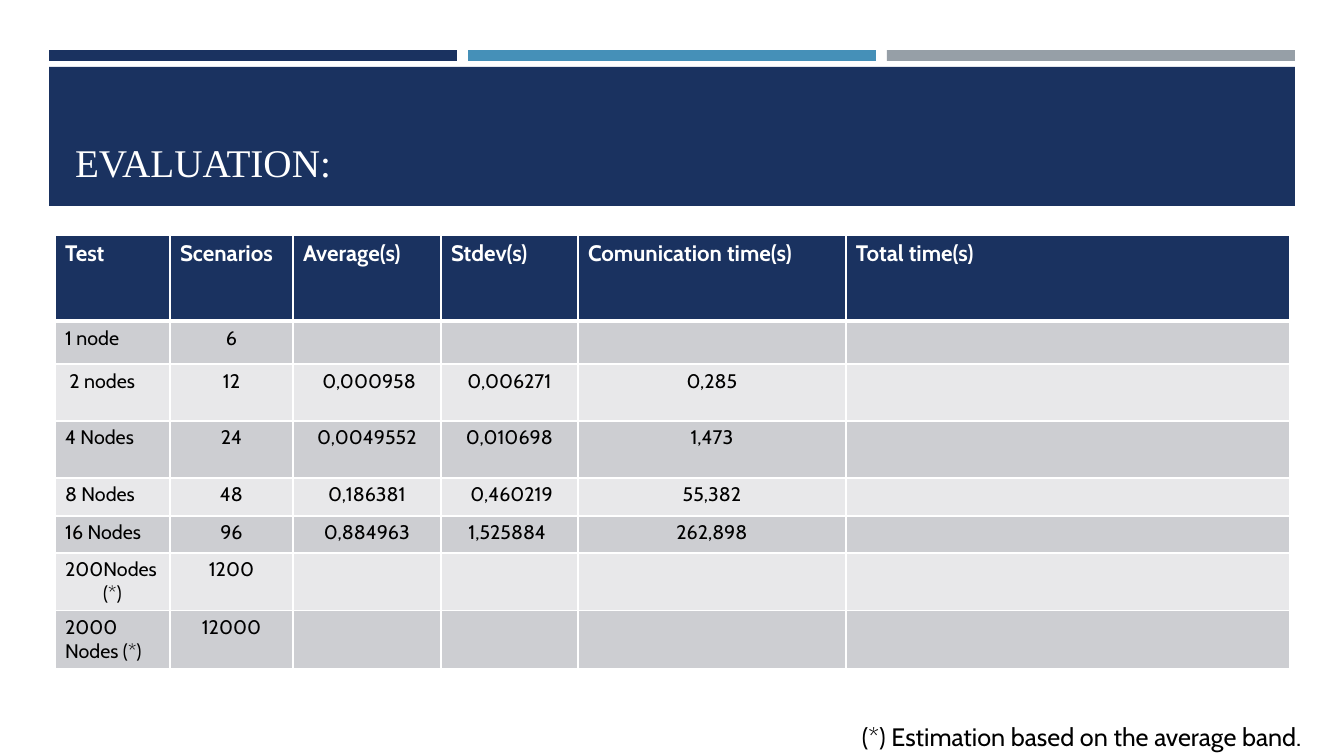
from pptx import Presentation
from pptx.dml.color import RGBColor as Rgb
from pptx.enum.shapes import MSO_SHAPE as Kind
from pptx.enum.text import MSO_ANCHOR as Anchor, PP_ALIGN as Align
from pptx.oxml.ns import qn
from pptx.util import Emu, Pt
from lxml.etree import SubElement as Sub

SCALE = 12192000 / 1344  # EMU in one px
HUES = {"navy": "1A3260", "blue": "4590B8", "gray": "969FA7",
        "dark": "CDCED2", "light": "E8E8EA", "white": "FFFFFF", "black": "000000"}
COLS = [115, 123, 148, 137, 268, 444]
ROWS = [86, 43, 57, 57, 38, 37, 57, 56]
DATA = [
    ["Test", "Scenarios", "Average(s)", "Stdev(s)", "Comunication time(s)", "Total time(s)"],
    ["1 node", "6", "", "", "", ""],
    [" 2 nodes", "12", " 0,000958", "0,006271", "0,285", ""],
    ["4 Nodes", "24", "0,0049552", "0,010698", "1,473", ""],
    ["8 Nodes", "48", "0,186381", " 0,460219", "55,382", ""],
    ["16 Nodes", "96", "0,884963", "1,525884 ", "262,898", ""],
    ["Nodes (*)", "1200", "", "", "", ""],
    ["2000 Nodes (*)", "12000", "", "", "", ""],
]
LIST_ROW = 6  # its label is numbered from 200


def px(num):
    return Emu(round(num * SCALE))


def box(*nums):
    return [px(num) for num in nums]


def hue(name):
    return Rgb.from_string(HUES[name])


def style(para, face, size, tint, bold=False):
    for run in para.runs:
        font = run.font
        font.name, font.size, font.bold = face, Pt(size), bold
        font.color.rgb = hue(tint)


def add_bar(slide, x, y, w, h, tint):
    bar = slide.shapes.add_shape(Kind.RECTANGLE, *box(x, y, w, h))
    bar.shadow.inherit = False
    bar.fill.solid()
    bar.fill.fore_color.rgb = hue(tint)
    bar.line.fill.background()
    return bar


def add_title(slide, band, text):
    title = slide.shapes.title
    title.left, title.top, title.width, title.height = box(65, 81, 1215, 109)
    frame = title.text_frame
    frame.text = text
    frame.vertical_anchor = Anchor.BOTTOM
    frame.paragraphs[0].alignment = Align.LEFT
    style(frame.paragraphs[0], "Times New Roman", 28, "white")
    band.element.addnext(title.element)  # text goes above the band


def set_edge(cell, side, width, at):
    props = cell._tc.get_or_add_tcPr()
    line = Sub(props, qn("a:" + side), w=str(Pt(width)))
    Sub(Sub(line, qn("a:solidFill")), qn("a:srgbClr"), val=HUES["white"])
    props.insert(at, line)


def set_number(para, start):
    props = para._p.get_or_add_pPr()
    props.set("marL", str(px(38)))
    props.set("indent", str(px(-38)))
    Sub(props, qn("a:buFont"), typeface="+mj-lt")
    Sub(props, qn("a:buAutoNum"), type="arabicPlain", startAt=str(start))


def fill_cell(cell, text, row, col):
    head = row == 0
    cell.fill.solid()
    cell.fill.fore_color.rgb = hue("navy" if head else "dark" if row % 2 else "light")
    for at, side in enumerate(["lnL", "lnR", "lnT", "lnB"]):
        thick = (head and side == "lnB") or (row == 1 and side == "lnT")
        set_edge(cell, side, 3 if thick else 1, at)
    para = cell.text_frame.paragraphs[0]
    if not text:  # keeps an empty row from growing
        Sub(para._p, qn("a:endParaRPr"), sz="1400")
        return
    para.text = text
    if col and not head:
        para.alignment = Align.CENTER
    if row == LIST_ROW and col == 0:
        set_number(para, 200)
    style(para, "Cabin", 16 if head else 14, "white" if head else "black", head)


def add_grid(slide, x, y):
    size = box(x, y, sum(COLS), sum(ROWS))
    grid = slide.shapes.add_table(len(ROWS), len(COLS), *size).table
    for col, w in zip(grid.columns, COLS):
        col.width = px(w)
    for row, h in zip(grid.rows, ROWS):
        row.height = px(h)
    for i, line in enumerate(DATA):
        for j, text in enumerate(line):
            fill_cell(grid.cell(i, j), text, i, j)


def add_note(slide, text):
    frame = slide.shapes.add_textbox(*box(852, 716, 470, 40)).text_frame
    frame.word_wrap = True
    frame.text = text
    style(frame.paragraphs[0], "Cabin", 18, "black")


def main():
    deck = Presentation()
    deck.slide_width, deck.slide_height = box(1344, 756)
    slide = deck.slides.add_slide(deck.slide_layouts[5])

    # Top strips and title band
    for i, tint in enumerate(["navy", "blue", "gray"]):
        add_bar(slide, 49 + 419 * i, 50, 408, 11, tint)
    band = add_bar(slide, 49, 67, 1246, 139, "navy")
    add_title(slide, band, "EVALUATION:")

    # Results and footnote
    add_grid(slide, 55, 235)
    add_note(slide, "(*) Estimation based on the average band.")
    deck.save("out.pptx")


if __name__ == "__main__":
    main()
